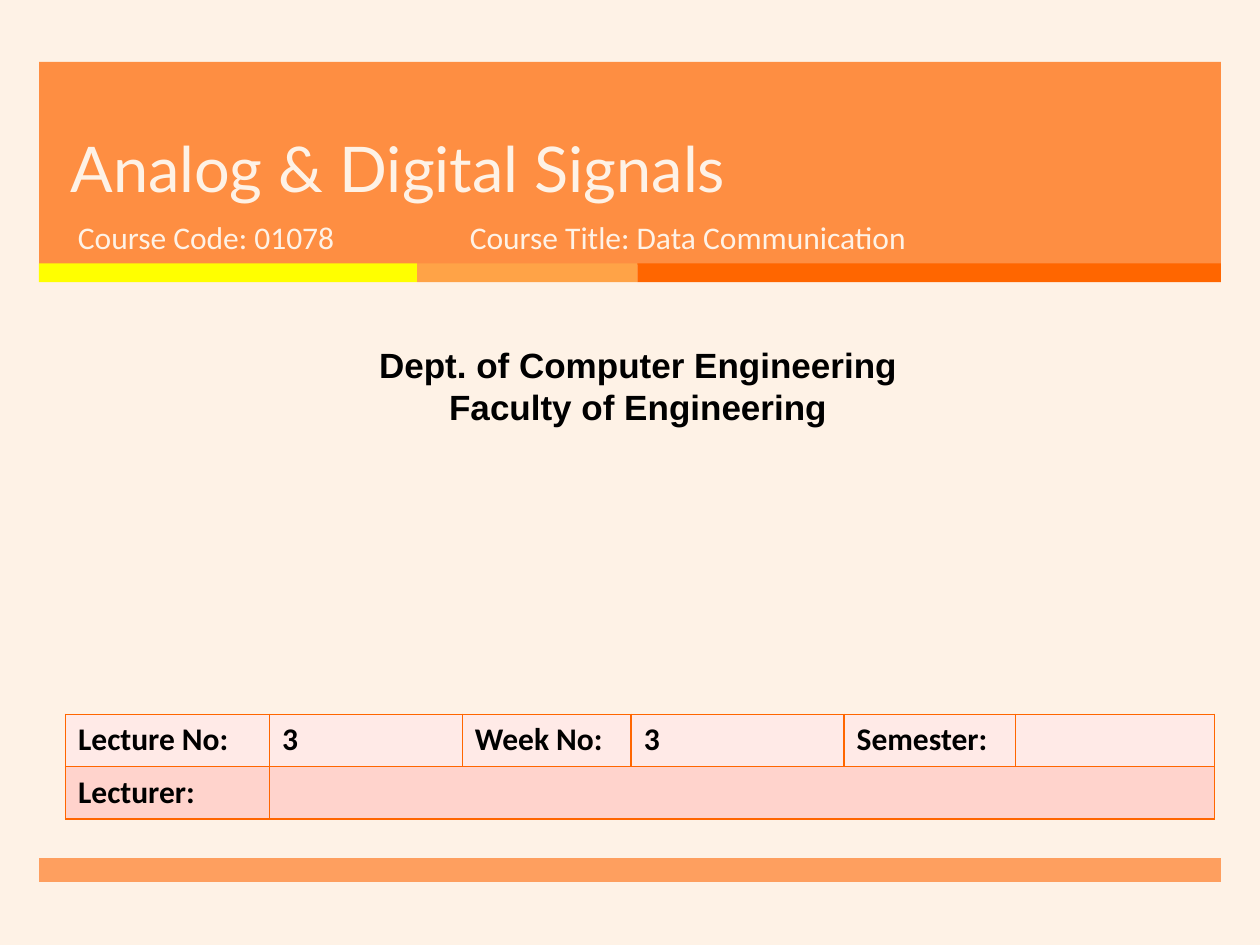
from lxml.etree import SubElement
from pptx import Presentation
from pptx.dml.color import RGBColor
from pptx.enum.shapes import MSO_SHAPE
from pptx.enum.text import MSO_ANCHOR, MSO_AUTO_SIZE, PP_ALIGN
from pptx.oxml.ns import qn
from pptx.util import Inches, Pt

COLORS = {
    "cream": "FEF2E6", "orange": "FF7D26", "yellow": "FFFF00", "amber": "FFA347",
    "deep": "FF6600", "black": "000000", "pale": "FFEAE7", "pink": "FFD3CC",
}
TITLE = "Analog & Digital Signals"
BAND_LEFT, BAND_WIDTH = 0.31, 9.38
BANDS = [(0.49, 1.61, "orange", 85), (6.81, 0.19, "orange", 70)]
STRIPES = [(3, "yellow"), (1.75, "amber"), (4.63, "deep")]
STRIPE_TOP, STRIPE_HEIGHT = 2.09, 0.15
TEXTS = [
    ((0.52, 1.68, 3.05, 0.53), ["Course Code: 01078"], ("Calibri", 18, "cream", False), PP_ALIGN.LEFT),
    ((0.13, 2.68, 9.87, 0.77), ["Dept. of Computer Engineering", "Faculty of Engineering"],
     ("Arial", 20, "black", True), PP_ALIGN.CENTER),
    ((3.63, 1.68, 4.55, 0.53), ["Course Title: Data Communication"],
     ("Calibri", 18, "cream", False), PP_ALIGN.LEFT),
]
LECTURE_ROWS = [
    ("pale", ["Lecture No:", "3", "Week No:", "3", "Semester:", ""]),
    ("pink", ["Lecturer:", "", "", "", "", ""]),
]
COLUMN_WIDTHS = [1.62, 1.53, 1.34, 1.69, 1.36, 1.58]
ROW_HEIGHT = 0.415


def color(name):
    """Return the named colour."""
    return RGBColor.from_string(COLORS[name])


def style(paragraph, family, size, color_name, bold):
    """Set the font of a paragraph."""
    font = paragraph.font
    font.name, font.size, font.bold = family, Pt(size), bold
    font.color.rgb = color(color_name)


def add_bar(slide, left, top, width, height, color_name, opacity=100):
    """Add a plain rectangle."""
    shape = slide.shapes.add_shape(
        MSO_SHAPE.RECTANGLE, Inches(left), Inches(top), Inches(width), Inches(height))
    shape.shadow.inherit = False
    shape.line.fill.background()
    shape.fill.solid()
    shape.fill.fore_color.rgb = color(color_name)
    if opacity < 100:
        fill = shape.fill._xPr.find(qn("a:solidFill"))[0]
        SubElement(fill, qn("a:alpha"), val=str(opacity * 1000))


def add_bars(slide):
    """Add the header and footer bands and the stripes."""
    for top, height, color_name, opacity in BANDS:
        add_bar(slide, BAND_LEFT, top, BAND_WIDTH, height, color_name, opacity)
    left = BAND_LEFT
    for width, color_name in STRIPES:
        add_bar(slide, left, STRIPE_TOP, width, STRIPE_HEIGHT, color_name)
        left += width


def place_title(slide):
    """Format the title and bring it in front of the band."""
    title = slide.shapes.title
    title.left, title.top, title.width, title.height = map(Inches, (0.46, 0.49, 8.54, 1.19))
    frame = title.text_frame
    frame.text = TITLE
    frame.auto_size = MSO_AUTO_SIZE.NONE
    frame.vertical_anchor = MSO_ANCHOR.BOTTOM
    paragraph = frame.paragraphs[0]
    paragraph.alignment = PP_ALIGN.LEFT
    paragraph.line_spacing = Pt(46)
    style(paragraph, "Lato", 36, "cream", False)
    slide.shapes._spTree.append(title._element)


def add_text(slide, box, lines, font, alignment):
    """Add a text box with one paragraph per line."""
    frame = slide.shapes.add_textbox(*map(Inches, box)).text_frame
    frame.word_wrap = True
    frame.text = "\n".join(lines)
    for paragraph in frame.paragraphs:
        paragraph.alignment = alignment
        style(paragraph, *font)


def set_borders(cell):
    """Draw a thin line on each side of a cell."""
    properties = cell._tc.get_or_add_tcPr()
    for index, side in enumerate(("a:lnL", "a:lnR", "a:lnT", "a:lnB")):
        line = properties.makeelement(qn(side), {"w": str(Pt(1))})
        fill = SubElement(line, qn("a:solidFill"))
        SubElement(fill, qn("a:srgbClr"), val=COLORS["deep"])
        properties.insert(index, line)


def add_lecture_table(slide):
    """Add the table of lecture details."""
    table = slide.shapes.add_table(
        len(LECTURE_ROWS), len(COLUMN_WIDTHS), Inches(0.52), Inches(5.67),
        Inches(sum(COLUMN_WIDTHS)), Inches(ROW_HEIGHT * len(LECTURE_ROWS))).table
    for column, width in zip(table.columns, COLUMN_WIDTHS):
        column.width = Inches(width)
    for row_index, (fill_name, values) in enumerate(LECTURE_ROWS):
        for column_index, value in enumerate(values):
            cell = table.cell(row_index, column_index)
            cell.text = value
            style(cell.text_frame.paragraphs[0], "Calibri", 18, "black", True)
            cell.fill.solid()
            cell.fill.fore_color.rgb = color(fill_name)
            set_borders(cell)
    table.cell(1, 1).merge(table.cell(1, 5))


def main():
    """Build the lecture cover slide."""
    presentation = Presentation()
    presentation.slide_width, presentation.slide_height = Inches(10), Inches(7.5)
    slide = presentation.slides.add_slide(presentation.slide_layouts[5])
    slide.background.fill.solid()
    slide.background.fill.fore_color.rgb = color("cream")
    add_bars(slide)
    place_title(slide)
    for text in TEXTS:
        add_text(slide, *text)
    add_lecture_table(slide)
    presentation.save("out.pptx")


if __name__ == "__main__":
    main()
